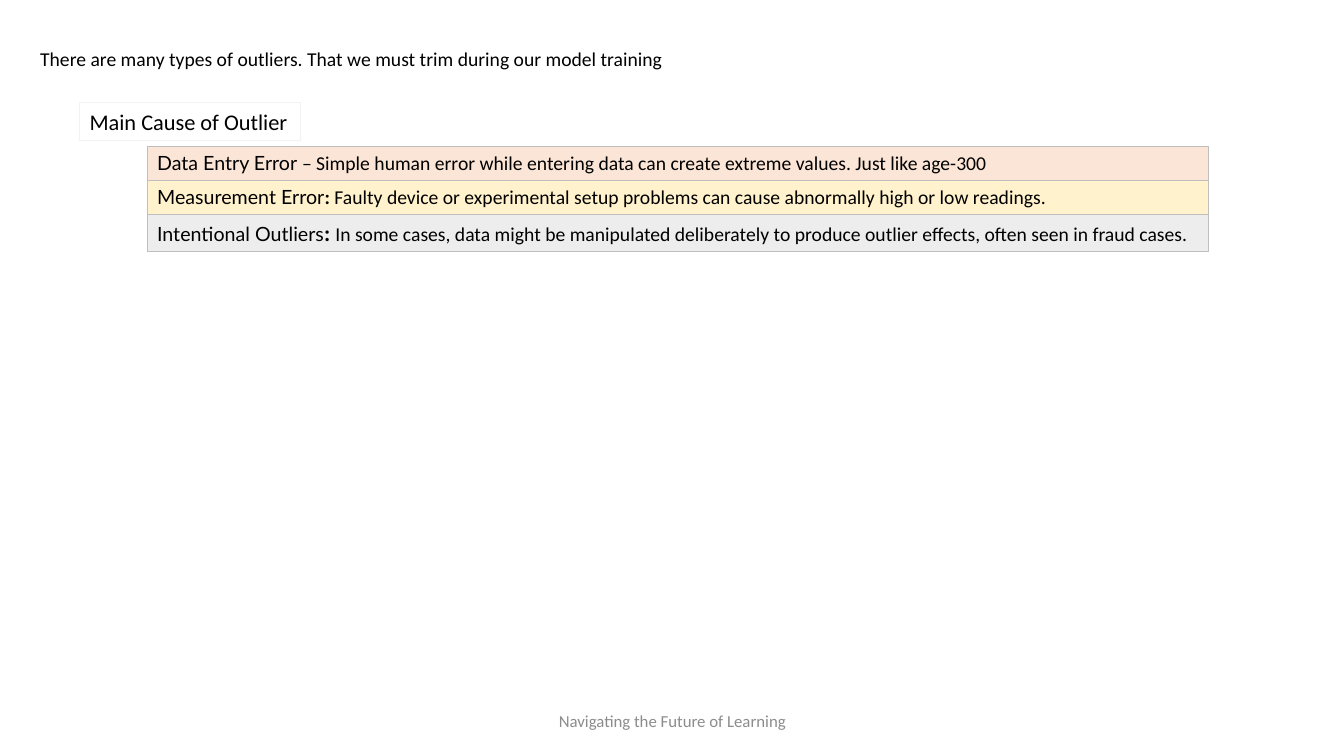
from pptx import Presentation
from pptx.dml.color import RGBColor
from pptx.enum.shapes import MSO_SHAPE as Shape
from pptx.enum.text import MSO_ANCHOR as Anchor, MSO_AUTO_SIZE as AutoSize, PP_ALIGN as Align
from pptx.util import Inches, Pt


def color(hex_code):
    return RGBColor.from_string(hex_code)


def add_text(shapes, box, runs, fill=None, line=None, font_color="000000",
             align=Align.LEFT, anchor=Anchor.TOP, wrap=True, auto_size=AutoSize.SHAPE_TO_FIT_TEXT):
    """Add a text box, or a rectangle if it has a line; runs are (text, size, font, bold)."""
    position = [Inches(length) for length in box]
    if line:
        shape = shapes.add_shape(Shape.RECTANGLE, *position)
        shape.shadow.inherit = False
        shape.line.color.rgb = color(line)
        shape.line.width = Pt(0.75)
    else:
        shape = shapes.add_textbox(*position)
    if fill:
        shape.fill.solid()
        shape.fill.fore_color.rgb = color(fill)
    else:
        shape.fill.background()
    frame = shape.text_frame
    frame.word_wrap = wrap
    frame.auto_size = auto_size
    frame.vertical_anchor = anchor
    paragraph = frame.paragraphs[0]
    paragraph.alignment = align
    for text, size, font_name, bold in runs:
        run = paragraph.add_run()
        run.text = text
        run.font.size = Pt(size)
        run.font.name = font_name
        run.font.bold = bold
        run.font.color.rgb = color(font_color)


presentation = Presentation()
presentation.slide_width = Inches(13.33)
presentation.slide_height = Inches(7.5)
slide = presentation.slides.add_slide(presentation.slide_layouts[6])

add_text(slide.shapes, (4.42, 6.95, 4.5, 0.4),
         [("Navigating the Future of Learning", 12, "Calibri", False)],
         font_color="8C8C8C", align=Align.CENTER, anchor=Anchor.MIDDLE, auto_size=AutoSize.NONE)
add_text(slide.shapes, (0.3, 0.42, 6.43, 0.34),
         [("There are many types of outliers. That we must trim during our model training",
           14, "Calibri", False)], wrap=False)
add_text(slide.shapes, (0.79, 1.02, 2.19, 0.37),
         [("Main Cause of Outlier", 16, "Calibri", False)], line="F2F2F2", wrap=False)

causes = [
    ("FBE5D6", 0.34, [
        ("Data Entry Error ", 14, "Lato", False),
        ("– Simple human error while entering data can create extreme values. Just like age-300",
         14, "Calibri", False)]),
    ("FFF2CC", 0.34, [
        ("Measurement Error", 14, "Lato", False),
        (":", 14, "Calibri", True),
        (" Faulty device or experimental setup problems can cause abnormally high or low readings.",
         14, "Calibri", False)]),
    ("EDEDED", 0.37, [
        ("Intentional Outliers", 14, "Lato", False),
        (": ", 16, "Calibri", True),
        ("In some cases, data might be manipulated deliberately to produce outlier effects, "
         "often seen in fraud cases.", 14, "Calibri", False)]),
]
cause_group = slide.shapes.add_group_shape()
top = 1.45
for fill, height, runs in causes:
    add_text(cause_group.shapes, (1.46, top, 10.53, height), runs, fill=fill, line="BFBFBF")
    top += height

presentation.save("out.pptx")
